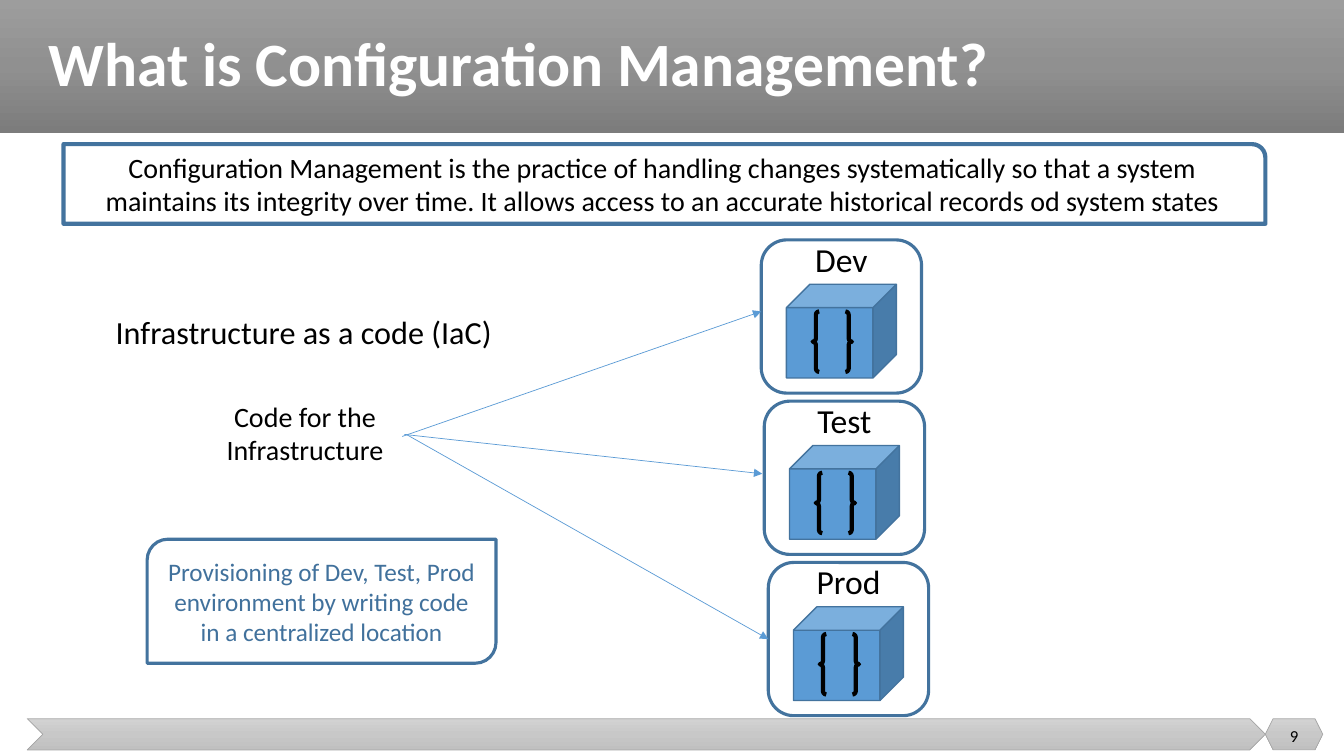
from copy import deepcopy

from lxml import etree
from pptx import Presentation
from pptx import util as u
from pptx.dml.color import RGBColor
from pptx.enum import shapes, text
from pptx.oxml.ns import qn

FONT = "Calibri"
BLACK, WHITE = "000000", "FFFFFF"
BLUE, EDGE, NOTE_BLUE = "5B9BD5", "43739E", "41719C"
FORM = shapes.MSO_SHAPE


def px(n):
    """100 px make one inch."""
    return u.Emu(n * 9144)


def box_emu(box):
    return [px(n) for n in box]


def paint(color_format, hex_color):
    color_format.rgb = RGBColor.from_string(hex_color)


def write(frame, words, size, color=BLACK, align=text.PP_ALIGN.CENTER,
          anchor=text.MSO_ANCHOR.TOP, bold=False):
    frame.text = words
    frame.word_wrap = True
    frame.auto_size = text.MSO_AUTO_SIZE.NONE
    frame.vertical_anchor = anchor
    paragraph = frame.paragraphs[0]
    paragraph.alignment = align
    font = paragraph.font
    font.name, font.size, font.bold = FONT, u.Pt(size), bold
    paint(font.color, color)
    return paragraph


def add_label(slide, box, words, size, **style):
    label = slide.shapes.add_textbox(*box_emu(box))
    write(label.text_frame, words, size, **style)


def add_form(slide, kind, box, line=None, weight=1, fill=None):
    form = slide.shapes.add_shape(kind, *box_emu(box))
    form.shadow.inherit = False
    if fill:
        form.fill.solid()
        paint(form.fill.fore_color, fill)
    else:
        form.fill.background()
    if line:
        paint(form.line.color, line)
        form.line.width = u.Pt(weight)
    else:
        form.line.fill.background()
    return form


def add_gradient_bar(slide, kind, box, colors, line=None):
    """Bar shaded from top to bottom, kept behind the title."""
    bar = add_form(slide, kind, box, line, 0.5)
    bar.fill.gradient()
    bar.fill.gradient_angle = 270
    first = bar._element.spPr.find(".//" + qn("a:gs"))
    middle = deepcopy(first)
    middle.set("pos", "50000")
    first.addnext(middle)
    for stop, color in zip(bar.fill.gradient_stops, colors):
        paint(stop.color, color)
    slide.shapes.title._element.addprevious(bar._element)


def add_header(slide, box):
    left, top, width, height = box
    add_gradient_bar(slide, FORM.RECTANGLE, box, ("9D9D9D", "909090", "7C7C7C"))
    title = slide.shapes.title
    title.left, title.top, title.width, title.height = box_emu(
        (left + 38, top, width - 59, height))
    heading = write(title.text_frame, "What is Configuration Management?", 44, WHITE,
                    text.PP_ALIGN.LEFT, text.MSO_ANCHOR.MIDDLE, bold=True)
    heading.line_spacing = 0.9


def add_footer(slide, box):
    left, top, width, height = box
    number_width = 57
    number_left = left + width - number_width
    greys = ("D2D2D2", "C8C8C8", "C0C0C0")
    add_gradient_bar(slide, FORM.CHEVRON, (left, top, width - number_width, height),
                     greys, "A5A5A5")
    add_gradient_bar(slide, FORM.HEXAGON, (number_left, top, number_width, height),
                     greys, "A5A5A5")
    add_label(slide, (number_left, top - 3, number_width, 40), "9", 12,
              anchor=text.MSO_ANCHOR.MIDDLE)


def add_callout(slide, kind, box, words, size, color, weight):
    callout = add_form(slide, kind, box, EDGE, weight)
    write(callout.text_frame, words, size, color, anchor=text.MSO_ANCHOR.MIDDLE)


def add_environment(slide, box, name):
    """Rounded frame with a name above a cube that holds braces."""
    left, top, width, height = box
    add_form(slide, FORM.CUBE, (left + 25, top + 44, 109, 93), EDGE, 1, BLUE)
    add_form(slide, FORM.DOUBLE_BRACE, (left + 51, top + 71, 39, 60), BLACK, 3)
    add_form(slide, FORM.ROUNDED_RECTANGLE, box, EDGE, 2.25)
    add_label(slide, (left, top - 6, width, 50), name, 24)


def add_arrow(slide, start, end):
    arrow = slide.shapes.add_connector(
        shapes.MSO_CONNECTOR.STRAIGHT, *box_emu(start + end))
    paint(arrow.line.color, BLUE)
    arrow.line.width = u.Pt(0.5)
    etree.SubElement(arrow.line._get_or_add_ln(), qn("a:tailEnd"), type="triangle")
    etree.SubElement(arrow._element.spPr, qn("a:effectLst"))


def add_infrastructure(slide, box):
    """Headline, code source and note on the left side."""
    left, top, width, height = box
    add_label(slide, (left, top, width, 49), "Infrastructure as a code (IaC)", 23)
    add_label(slide, (left + 114, top + 86, 193, 77), "Code for the Infrastructure", 20)
    add_callout(slide, FORM.ROUND_2_DIAG_RECTANGLE,
                (left + 54, top + height - 123, 346, 123),
                "Provisioning of Dev, Test, Prod environment by writing code "
                "in a centralized location", 18, NOTE_BLUE, 2.25)


def add_environments(slide, box):
    """Three frames down the slide, each reached by an arrow from the code."""
    left, top, width, height = box
    arrows = [((399, 433), (755, 309)), ((401, 431), (756, 470)), ((403, 431), (762, 634))]
    for i, (name, (start, end)) in enumerate(zip(("Dev", "Test", "Prod"), arrows)):
        add_environment(slide, (left + i * 7 // 2, top + i * 160, width, height), name)
        add_arrow(slide, start, end)


def main():
    deck = Presentation()
    deck.slide_width, deck.slide_height = px(1333), px(750)
    slide = deck.slides.add_slide(deck.slide_layouts.get_by_name("Title Only"))

    add_header(slide, (0, 0, 1333, 132))
    add_footer(slide, (27, 713, 1285, 31))
    add_callout(slide, FORM.ROUND_1_RECTANGLE, (63, 143, 1192, 79),
                "Configuration Management is the practice of handling changes "
                "systematically so that a system maintains its integrity over time. "
                "It allows access to an accurate historical records od system states",
                20, BLACK, 3)
    add_infrastructure(slide, (92, 305, 419, 353))
    add_environments(slide, (755, 238, 159, 152))

    deck.save("out.pptx")


if __name__ == "__main__":
    main()
